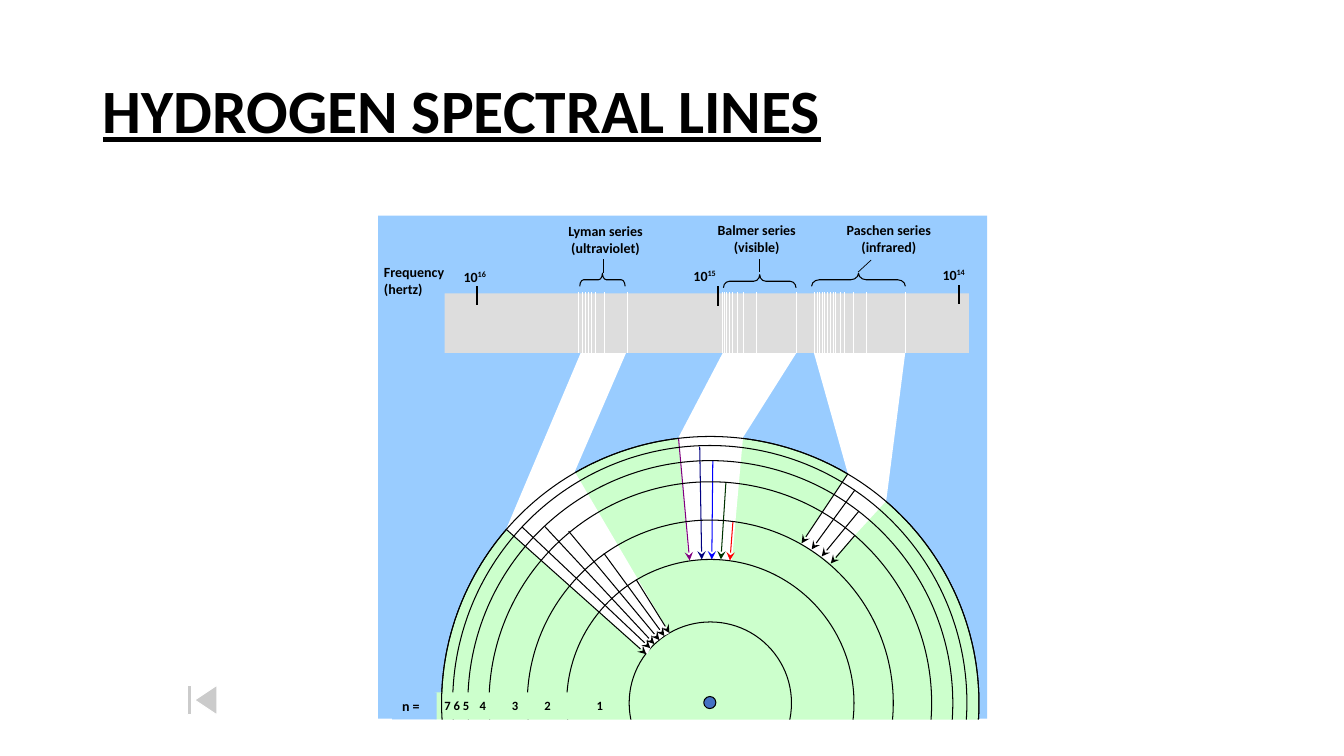
from lxml.etree import SubElement as Sub
from pptx import Presentation
from pptx.dml.color import RGBColor
from pptx.enum.shapes import MSO_CONNECTOR as Link, MSO_SHAPE as Kind
from pptx.enum.text import MSO_ANCHOR as Anchor, MSO_AUTO_SIZE as Fit, PP_ALIGN as Align
from pptx.oxml.ns import qn
from pptx.util import Pt

PX = 9144
BLACK, WHITE, GREEN, SKY = "000000", "FFFFFF", "CCFFCC", "99CCFF"
MID_X, MID_Y = 704, 697
RINGS = [285, 363, 439, 481, 510]

LYMAN = [574, 578, 581, 584, 587, 591, 600, 622]
BALMER = [717, 719, 721, 724, 727, 731, 737, 750, 790]
PASCHEN = [808, 811, 813, 816, 818, 821, 824, 827, 829, 834, 838, 847, 859, 898]

BEAMS = [
    [(807, 349), (841, 470), (795, 539), (816, 553), (823, 558), (879, 497), (898, 349)],
    [(717, 350), (673, 434), (683, 556), (695, 555), (714, 555), (726, 556),
     (737, 434), (790, 350)],
    [(576, 350), (502, 525), (642, 649), (647, 639), (653, 635), (658, 631),
     (664, 628), (570, 468), (621, 350)],
]
JUMPS = [
    [(673, 435, 684, 556, "800080"), (694, 443, 696, 555, "000080"),
     (707, 457, 706, 555, "0000FF"), (720, 478, 715, 555, "003300"),
     (727, 517, 724, 556, "FF0000")],
    [(841, 470, 795, 539, BLACK), (848, 486, 805, 545, BLACK),
     (852, 507, 815, 552, BLACK), (848, 531, 824, 559, BLACK)],
    [(502, 525, 641, 649, BLACK), (518, 523, 645, 643, BLACK),
     (540, 522, 649, 639, BLACK), (564, 527, 654, 635, BLACK),
     (599, 549, 659, 631, BLACK), (631, 575, 664, 628, BLACK)],
]
SERIES = [
    (553, 216, 95, "Lyman series\n(ultraviolet)"),
    (701, 215, 99, "Balmer series\n(visible)"),
    (829, 215, 105, "Paschen series\n(infrared)"),
]
POWERS = [(450, 261, "16"), (678, 260, "15"), (925, 259, "14")]
BRACES = [(845, 231, 93, 0.593), (747, 243, 72, 0.46), (591, 255, 45, 0.29)]
TICKS = [(473, 284, 303), (712, 284, 304), (951, 283, 302)]
LEADS = [(598, 257, 598, 271), (753, 257, 753, 270), (864, 258, 851, 270)]


def tint(code):
    """Turn a hex string into a colour."""
    return RGBColor.from_string(code)


def paint(shape, fill=None, line=None):
    """Set the fill and outline of a shape and drop its shadow."""
    shape.shadow.inherit = False
    if fill:
        shape.fill.solid()
        shape.fill.fore_color.rgb = tint(fill)
    else:
        shape.fill.background()
    if line:
        shape.line.color.rgb = tint(line)
        shape.line.width = Pt(0.75)
    else:
        shape.line.fill.background()


def block(shapes, kind, x, y, w, h, fill=None, line=None):
    """Add a preset shape."""
    shape = shapes.add_shape(kind, x * PX, y * PX, w * PX, h * PX)
    paint(shape, fill, line)
    return shape


def ring(shapes, w, h, fill=None):
    """Add an ellipse around the nucleus."""
    block(shapes, Kind.OVAL, MID_X - w // 2, MID_Y - h // 2, w, h, fill, BLACK)


def beam(shapes, points):
    """Add a white outline through the points."""
    pen = shapes.build_freeform(*points[0], scale=PX)
    pen.add_line_segments(points[1:], close=True)
    paint(pen.convert_to_shape(), WHITE)


def stroke(shapes, x1, y1, x2, y2, color=BLACK, width=0.75, head=False):
    """Add a straight line, with an arrowhead if asked."""
    line = shapes.add_connector(Link.STRAIGHT, x1 * PX, y1 * PX, x2 * PX, y2 * PX)
    line.line.color.rgb = tint(color)
    line.line.width = Pt(width)
    if head:
        Sub(line.line._get_or_add_ln(), qn("a:tailEnd"), type="stealth")
    Sub(line._element.spPr, qn("a:effectLst"))


def brace(shapes, x, y, span, bend):
    """Add a brace that opens downwards."""
    shape = block(shapes, Kind.RIGHT_BRACE, x, y, 13, span, line=BLACK)
    shape.rotation = 270
    shape.adjustments[0] = bend


def label(shapes, x, y, w, h, text, power="", align=Align.LEFT, size=10, fill=None, tabs=()):
    """Add bold text, with a raised power or tab stops if given."""
    box = shapes.add_textbox(x * PX, y * PX, w * PX, h * PX)
    if fill:
        paint(box, fill)
    frame = box.text_frame
    frame.word_wrap = bool(tabs)
    frame.text = text
    for para in frame.paragraphs:
        para.alignment = align
        if tabs:
            stops = Sub(para._p.get_or_add_pPr(), qn("a:tabLst"))
            for stop in tabs:
                Sub(stops, qn("a:tab"), pos=str(stop * PX), algn="l")
        if power:
            run = para.add_run()
            run.text = power
            run.font._element.set("baseline", "30000")
        font = para.font
        font.name, font.size, font.bold = "Calibri", Pt(size), True
        font.color.rgb = tint(BLACK)


def head(shapes, text):
    """Fill and place the title."""
    title = shapes.title
    title.left, title.top, title.width, title.height = 92 * PX, 40 * PX, 1150 * PX, 145 * PX
    frame = title.text_frame
    frame.text = text
    frame.auto_size = Fit.NONE
    frame.vertical_anchor = Anchor.MIDDLE
    para = frame.paragraphs[0]
    para.alignment = Align.LEFT
    para.line_spacing = 0.9
    font = para.font
    font.name, font.size, font.bold, font.underline = "Calibri", Pt(44), True, True
    font.color.rgb = tint(BLACK)


def button(shapes):
    """Add the half clear button that leads to the start."""
    shape = block(shapes, Kind.ACTION_BUTTON_BEGINNING, 167, 675, 67, 39, WHITE, WHITE)
    color = shape._element.spPr.find(qn("a:solidFill"))[0]
    Sub(color, qn("a:alpha"), val="50000")


def main():
    """Build the slide and save it."""
    deck = Presentation()
    deck.slide_width, deck.slide_height = 1333 * PX, 750 * PX
    shapes = deck.slides.add_slide(deck.slide_layouts[5]).shapes
    head(shapes, "HYDROGEN SPECTRAL LINES")

    block(shapes, Kind.RECTANGLE, 375, 214, 604, 499, SKY)
    ring(shapes, 533, 529, GREEN)
    ring(shapes, 161, 161)
    ring(shapes, 12, 12, "4472C4")
    for points in BEAMS:
        beam(shapes, points)
    block(shapes, Kind.RECTANGLE, 441, 291, 520, 59, "DDDDDD")
    button(shapes)

    for x in LYMAN + BALMER + PASCHEN:
        stroke(shapes, x, 290, x, 350, WHITE)
    for jumps in JUMPS:
        group = shapes.add_group_shape().shapes
        for jump in jumps:
            stroke(group, *jump, head=True)

    for x, y, w, text in SERIES:
        label(shapes, x, y, w, 44, text, align=Align.CENTER)
    label(shapes, 371, 257, 81, 44, "Frequency\n(hertz)")
    for x, y, power in POWERS:
        label(shapes, x, y, 44, 27, "10", power)
    for spot in BRACES:
        brace(shapes, *spot)
    for x, top, end in TICKS:
        stroke(shapes, x, top, x, end, width=1.25)
    for lead in LEADS:
        stroke(shapes, *lead, width=0.5)

    for size in RINGS:
        ring(shapes, size, size)
    label(shapes, 431, 687, 183, 27, "7 6 5\t4\t3\t2\t1", size=9, fill=GREEN,
          tabs=(35, 67, 99, 151))
    label(shapes, 389, 687, 44, 27, "n =", fill=SKY)
    ring(shapes, 533, 529)
    block(shapes, Kind.RECTANGLE, 386, 714, 601, 36, WHITE)
    deck.save("out.pptx")


if __name__ == "__main__":
    main()
